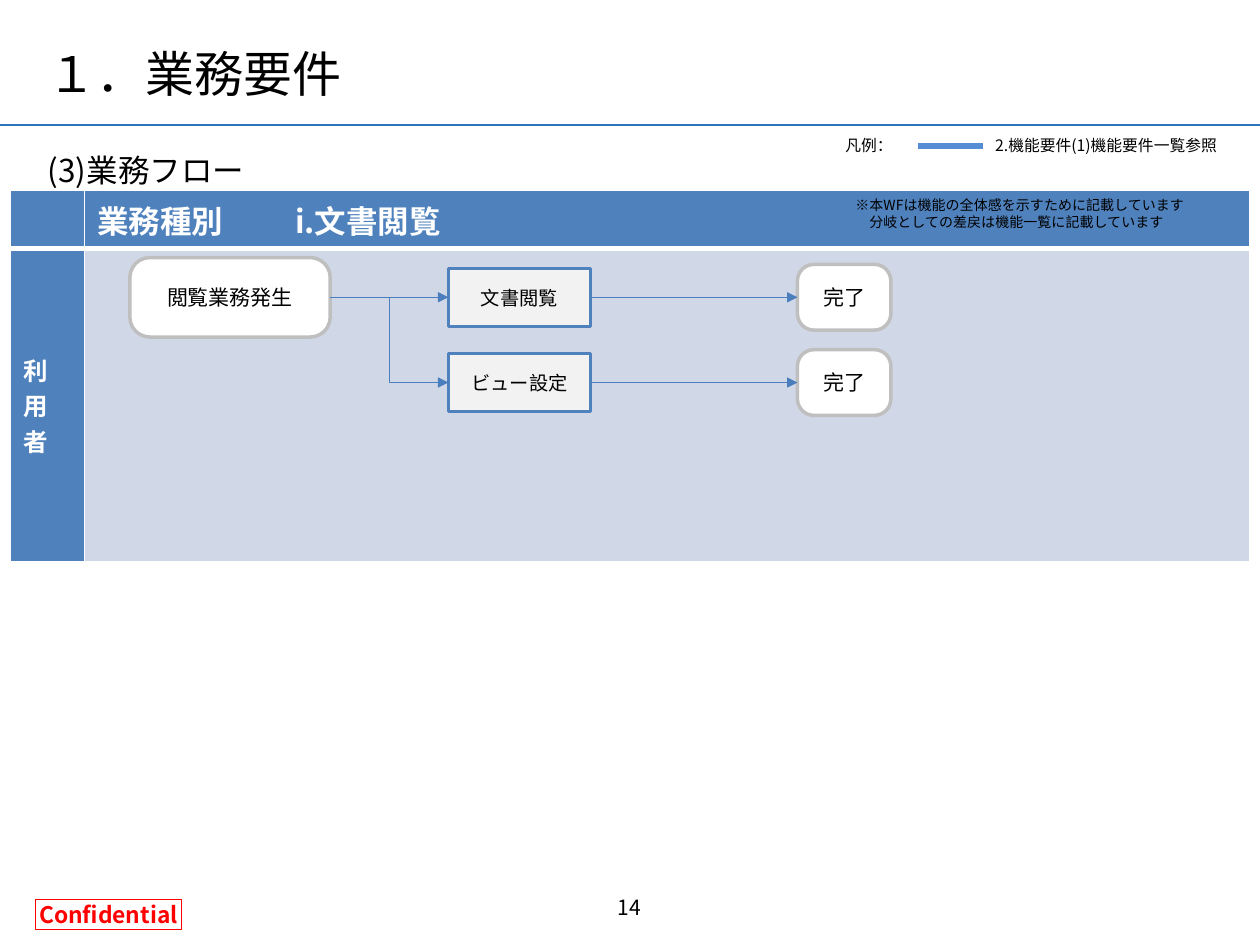
import pptx
import pptx.util
import pptx.dml.color
import pptx.enum.shapes
import pptx.enum.text
import pptx.oxml

Pt = pptx.util.Pt
Shape = pptx.enum.shapes.MSO_SHAPE
Connector = pptx.enum.shapes.MSO_CONNECTOR
Align = pptx.enum.text.PP_ALIGN
Anchor = pptx.enum.text.MSO_ANCHOR

FONT = "Noto Sans CJK JP"
BLUE, ARROW, WHITE, BLACK, RED = "4F81BD", "4B7EBC", "FFFFFF", "000000", "FF0000"
NAMESPACE = 'xmlns:a="http://schemas.openxmlformats.org/drawingml/2006/main"'

TITLE = "１．業務要件"
LANES = [
    ["", "業務種別\ti.文書閲覧"],
    ["利用者", ""],
]
LANE_WIDTHS, LANE_HEIGHTS = [42.4, 666], [29, 179.2]
LANE_FILLS = [[BLUE, BLUE], [BLUE, "D0D8E8"]]
LANE_SIZES = [18, 14]
START = "閲覧業務発生"
BRANCHES = [("文書閲覧", "完了"), ("ビュー設定", "完了")]
BRANCH_TOP, BRANCH_GAP = 169.9, 48.7
NODES = {
    "start": (74.2, 114.5, 45.4, Shape.ROUNDED_RECTANGLE, WHITE, "BFBFBF", 12),
    "step": (256.2, 81.4, 33.2, Shape.RECTANGLE, "F2F2F2", BLUE, 11),
    "done": (455.7, 53.4, 37.6, Shape.ROUNDED_RECTANGLE, WHITE, "BFBFBF", 12),
}
LABELS = [
    ("凡例：", 476, 74, 49, 18, 9, Align.LEFT, Anchor.TOP),
    ("2.機能要件(1)機能要件一覧参照", 561.6, 74, 152.6, 18, 9, Align.LEFT, Anchor.TOP),
    ("(3)業務フロー", 20.2, 82.8, 680, 28.8, 18, Align.LEFT, Anchor.TOP),
    ("※本WFは機能の全体感を示すために記載しています\n分岐としての差戻は機能一覧に記載しています",
     481.7, 108.7, 244, 26.6, 8, Align.LEFT, Anchor.TOP),
    ("14", 275.8, 500.4, 167.8, 28.8, 12, Align.CENTER, Anchor.BOTTOM),
]


def rgb(code):
    return pptx.dml.color.RGBColor.from_string(code)


def element(xml):
    return pptx.oxml.parse_xml(xml.replace(">", f" {NAMESPACE}>", 1)
                               if "/>" not in xml.split(">")[0] + ">"
                               else xml.replace("/>", f" {NAMESPACE}/>", 1))


def write(frame, text, size, color=BLACK, bold=False, align=Align.LEFT):
    frame.text = text
    for paragraph in frame.paragraphs:
        paragraph.alignment = align
        for run in paragraph.runs:
            run.font.name = FONT
            run.font.size = Pt(size)
            run.font.bold = bold
            run.font.color.rgb = rgb(color)
            run.font._element.append(element(f'<a:ea typeface="{FONT}"/>'))


def add_node(slide, kind, text, middle):
    left, width, height, preset, fill, line, size = NODES[kind]
    node = slide.shapes.add_shape(preset, Pt(left), Pt(middle - height / 2), Pt(width), Pt(height))
    node.shadow.inherit = False
    node.fill.solid()
    node.fill.fore_color.rgb = rgb(fill)
    node.line.color.rgb = rgb(line)
    node.line.width = Pt(2)
    if preset == Shape.ROUNDED_RECTANGLE:
        node.adjustments[0] = 0.25
    node.text_frame.word_wrap = kind != "step"
    node.text_frame.vertical_anchor = Anchor.MIDDLE
    write(node.text_frame, text, size, align=Align.CENTER)
    return node


def add_line(slide, color, width, ends=(0, 0, 0, 0), kind=Connector.STRAIGHT):
    line = slide.shapes.add_connector(kind, *map(Pt, ends))
    line.line.color.rgb = rgb(color)
    line.line.width = Pt(width)
    line._element.spPr.append(element("<a:effectLst/>"))
    return line


def add_arrow(slide, origin, target, kind=Connector.STRAIGHT):
    arrow = add_line(slide, ARROW, 0.75, kind=kind)
    arrow.begin_connect(origin, 3)
    arrow.end_connect(target, 1)
    arrow.line._get_or_add_ln().append(element('<a:tailEnd type="triangle"/>'))


def add_border(cell, side, width):
    cell._tc.get_or_add_tcPr().append(element(
        f'<a:{side} w="{Pt(width)}"><a:solidFill><a:srgbClr val="{WHITE}"/></a:solidFill></a:{side}>'))


def add_lanes(slide):
    lanes = slide.shapes.add_table(2, 2, Pt(6), Pt(108.7), Pt(sum(LANE_WIDTHS)),
                                   Pt(sum(LANE_HEIGHTS))).table
    for column, width in zip(lanes.columns, LANE_WIDTHS):
        column.width = Pt(width)
    for r, texts in enumerate(LANES):
        lanes.rows[r].height = Pt(LANE_HEIGHTS[r])
        for c, text in enumerate(texts):
            cell = lanes.cell(r, c)
            for side, width in (("lnL", 1), ("lnR", 1), ("lnT", 3 if r else 1), ("lnB", 1 if r else 3)):
                add_border(cell, side, width)
            cell.fill.solid()
            cell.fill.fore_color.rgb = rgb(LANE_FILLS[r][c])
            if text:
                write(cell.text_frame, text, LANE_SIZES[r], WHITE, True)
    heading = lanes.cell(0, 1).text_frame.paragraphs[0]
    heading._p.get_or_add_pPr().append(element(
        f'<a:tabLst><a:tab pos="{Pt(113)}" algn="l"/></a:tabLst>'))
    user = lanes.cell(1, 0)
    user.vertical_anchor = Anchor.MIDDLE
    user._tc.get_or_add_tcPr().set("vert", "wordArtVertRtl")


def add_flow(slide):
    start = add_node(slide, "start", START, BRANCH_TOP)
    for i, (step_text, done_text) in enumerate(BRANCHES):
        middle = BRANCH_TOP + i * BRANCH_GAP
        step = add_node(slide, "step", step_text, middle)
        done = add_node(slide, "done", done_text, middle)
        add_arrow(slide, start, step, Connector.ELBOW if i else Connector.STRAIGHT)
        add_arrow(slide, step, done)


def add_label(slide, text, left, top, width, height, size, align, anchor):
    frame = slide.shapes.add_textbox(Pt(left), Pt(top), Pt(width), Pt(height)).text_frame
    frame.word_wrap = True
    frame.vertical_anchor = anchor
    write(frame, text, size, align=align)
    for paragraph in frame.paragraphs[1:]:
        paragraph._p.get_or_add_pPr().set("marL", str(Pt(size)))


def add_stamp(slide):
    stamp = slide.shapes.add_shape(Shape.RECTANGLE, Pt(20.2), Pt(514.1), Pt(83.5), Pt(17.3))
    stamp.shadow.inherit = False
    stamp.fill.background()
    stamp.line.color.rgb = rgb(RED)
    stamp.line.width = Pt(0.75)
    frame = stamp.text_frame
    frame.margin_left = frame.margin_right = frame.margin_top = frame.margin_bottom = Pt(2.9)
    frame.word_wrap = False
    frame.vertical_anchor = Anchor.MIDDLE
    write(frame, "Confidential", 13, RED, True, Align.CENTER)


def main():
    deck = pptx.Presentation()
    deck.slide_width, deck.slide_height = Pt(720), Pt(540)
    slide = deck.slides.add_slide(deck.slide_layouts[5])
    title = slide.shapes.title
    title.left, title.top, title.width, title.height = map(Pt, (20.2, 20.9, 604.8, 41))
    title.text_frame.vertical_anchor = Anchor.BOTTOM
    write(title.text_frame, TITLE, 28)
    add_line(slide, "2B73BA", 0.75, (0, 71.5, 720, 71.5))
    add_stamp(slide)
    add_lanes(slide)
    add_flow(slide)
    add_line(slide, "558ED5", 3, (524.6, 83.4, 561.6, 83.4))
    for label in LABELS:
        add_label(slide, *label)
    deck.save("out.pptx")


if __name__ == "__main__":
    main()
